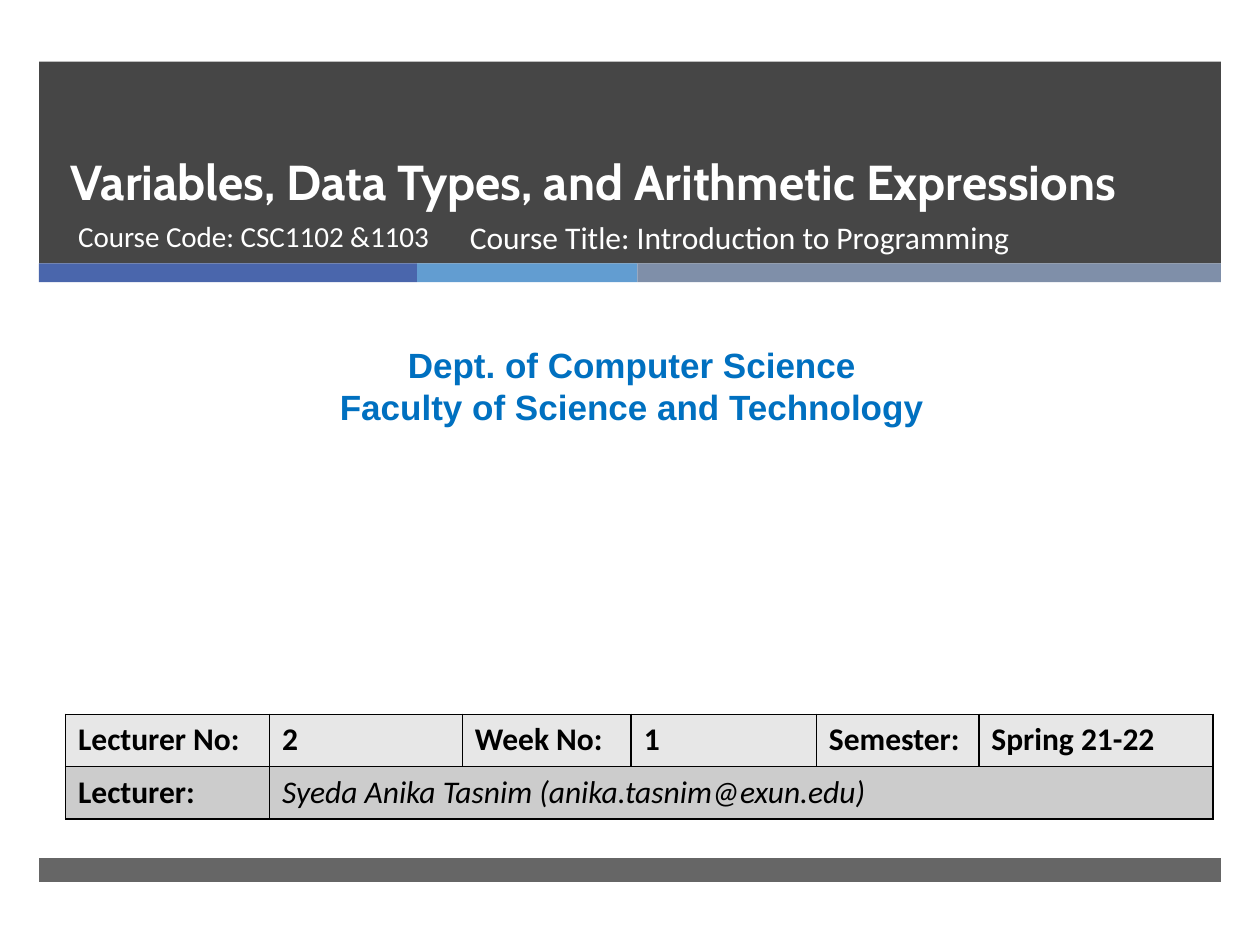
from lxml.etree import SubElement
from pptx import Presentation
from pptx.dml.color import RGBColor
from pptx.enum.shapes import MSO_SHAPE
from pptx.enum.text import MSO_ANCHOR, MSO_AUTO_SIZE, PP_ALIGN
from pptx.oxml.ns import qn
from pptx.util import Inches, Pt

WHITE = RGBColor(0xFF, 0xFF, 0xFF)
BLACK = RGBColor(0x00, 0x00, 0x00)
CHARCOAL = RGBColor(0x26, 0x26, 0x26)
INDIGO = RGBColor(0x4A, 0x66, 0xAC)
SKY = RGBColor(0x62, 0x9D, 0xD1)
SLATE = RGBColor(0x7F, 0x8F, 0xA9)
BLUE = RGBColor(0x00, 0x70, 0xC0)
LIGHT_GREY = RGBColor(0xE7, 0xE7, 0xE7)
MID_GREY = RGBColor(0xCC, 0xCC, 0xCC)

MARGIN, BAND_WIDTH = 0.31, 9.38
COLUMN_WIDTHS = [1.62, 1.53, 1.34, 1.47, 1.29, 1.86]
DETAILS = ["Lecturer No:", "2", "Week No:", "1", "Semester:", "Spring 21-22"]
LECTURER = "Syeda Anika Tasnim (anika.tasnim@exun.edu)"


def add_band(slide, left, top, width, height, color, opacity=100):
    band = slide.shapes.add_shape(
        MSO_SHAPE.RECTANGLE, Inches(left), Inches(top), Inches(width), Inches(height))
    band.shadow.inherit = False
    band.line.fill.background()
    band.fill.solid()
    band.fill.fore_color.rgb = color
    if opacity < 100:
        color_element = band.element.spPr.find(qn("a:solidFill"))[0]
        SubElement(color_element, qn("a:alpha"), val=str(opacity * 1000))


def add_run(paragraph, text, font, size, color, bold=False, italic=False):
    run = paragraph.add_run()
    run.text = text
    run.font.name, run.font.size = font, Pt(size)
    run.font.bold, run.font.italic = bold, italic
    run.font.color.rgb = color


def place(shape, left, top, width, height):
    shape.left, shape.top = Inches(left), Inches(top)
    shape.width, shape.height = Inches(width), Inches(height)


def prepare_text(shape, anchor=MSO_ANCHOR.TOP, alignment=PP_ALIGN.LEFT):
    frame = shape.text_frame
    frame.word_wrap = True
    frame.auto_size = MSO_AUTO_SIZE.NONE
    frame.vertical_anchor = anchor
    paragraph = frame.paragraphs[0]
    paragraph.alignment = alignment
    paragraph.space_before = Pt(0)
    return paragraph


def add_header(slide, left, top, width, height):
    # Dark panel with a strip of three colours below it
    add_band(slide, left, top, width, height, CHARCOAL, 85)
    strip_left = left
    for strip_width, color in ((3, INDIGO), (1.75, SKY), (width - 4.75, SLATE)):
        add_band(slide, strip_left, top + height, strip_width, 0.15, color)
        strip_left += strip_width

    # Placeholders go in front of the panel
    title, subtitle = slide.shapes.title, slide.placeholders[1]
    for placeholder in (title, subtitle):
        placeholder.element.getparent().append(placeholder.element)

    place(title, left + 0.15, top + 0.04, 8.54, 1.19)
    paragraph = prepare_text(title, MSO_ANCHOR.BOTTOM)
    paragraph.line_spacing = Pt(46)
    add_run(paragraph, "Variables, Data Types, and Arithmetic Expressions",
            "Cabin", 28, WHITE, bold=True)

    # Course line
    place(subtitle, left + 0.21, top + 1.19, 3.21, 0.53)
    add_run(prepare_text(subtitle), "Course Code: CSC1102 &1103", "Calibri", 16.6, WHITE)
    course = slide.shapes.add_textbox(
        Inches(left + 3.32), Inches(top + 1.19), Inches(4.55), Inches(0.53))
    add_run(prepare_text(course), "Course Title: Introduction to Programming",
            "Calibri", 18, WHITE)


def add_department(slide, left, top, width, height):
    box = slide.shapes.add_textbox(Inches(left), Inches(top), Inches(width), Inches(height))
    paragraph = prepare_text(box, alignment=PP_ALIGN.CENTER)
    add_run(paragraph, "Dept. of Computer Science", "Arial", 20, BLUE, bold=True)
    paragraph = box.text_frame.add_paragraph()
    paragraph.alignment = PP_ALIGN.CENTER
    add_run(paragraph, "Faculty of Science and Technology", "Arial", 20, BLUE, bold=True)


def style_cell(cell, color):
    properties = cell._tc.get_or_add_tcPr()
    for side in ("a:lnL", "a:lnR", "a:lnT", "a:lnB"):
        line = SubElement(properties, qn(side), w=str(Pt(1)))
        SubElement(SubElement(line, qn("a:solidFill")), qn("a:srgbClr"), val=str(BLACK))
    cell.fill.solid()
    cell.fill.fore_color.rgb = color


def add_details(slide, left, top, width, height):
    table = slide.shapes.add_table(
        2, len(COLUMN_WIDTHS), Inches(left), Inches(top), Inches(width), Inches(height)).table
    for column, column_width in zip(table.columns, COLUMN_WIDTHS):
        column.width = Inches(column_width)
    for row, color in zip(table.rows, (LIGHT_GREY, MID_GREY)):
        for cell in row.cells:
            style_cell(cell, color)
    table.cell(1, 1).merge(table.cell(1, len(COLUMN_WIDTHS) - 1))

    for index, text in enumerate(DETAILS):
        add_run(table.cell(0, index).text_frame.paragraphs[0],
                text, "Calibri", 18, BLACK, bold=True)
    add_run(table.cell(1, 0).text_frame.paragraphs[0],
            "Lecturer:", "Calibri", 18, BLACK, bold=True)
    add_run(table.cell(1, 1).text_frame.paragraphs[0],
            LECTURER, "Calibri", 18, BLACK, italic=True)


def main():
    presentation = Presentation()
    presentation.slide_width, presentation.slide_height = Inches(10), Inches(7.5)
    slide = presentation.slides.add_slide(presentation.slide_layouts[0])
    add_header(slide, MARGIN, 0.49, BAND_WIDTH, 1.6)
    add_department(slide, 0.08, 2.68, 9.87, 0.77)
    add_details(slide, 0.52, 5.67, sum(COLUMN_WIDTHS), 0.83)
    # Footer band
    add_band(slide, MARGIN, 6.81, BAND_WIDTH, 0.19, CHARCOAL, 70)
    presentation.save("out.pptx")


if __name__ == "__main__":
    main()
